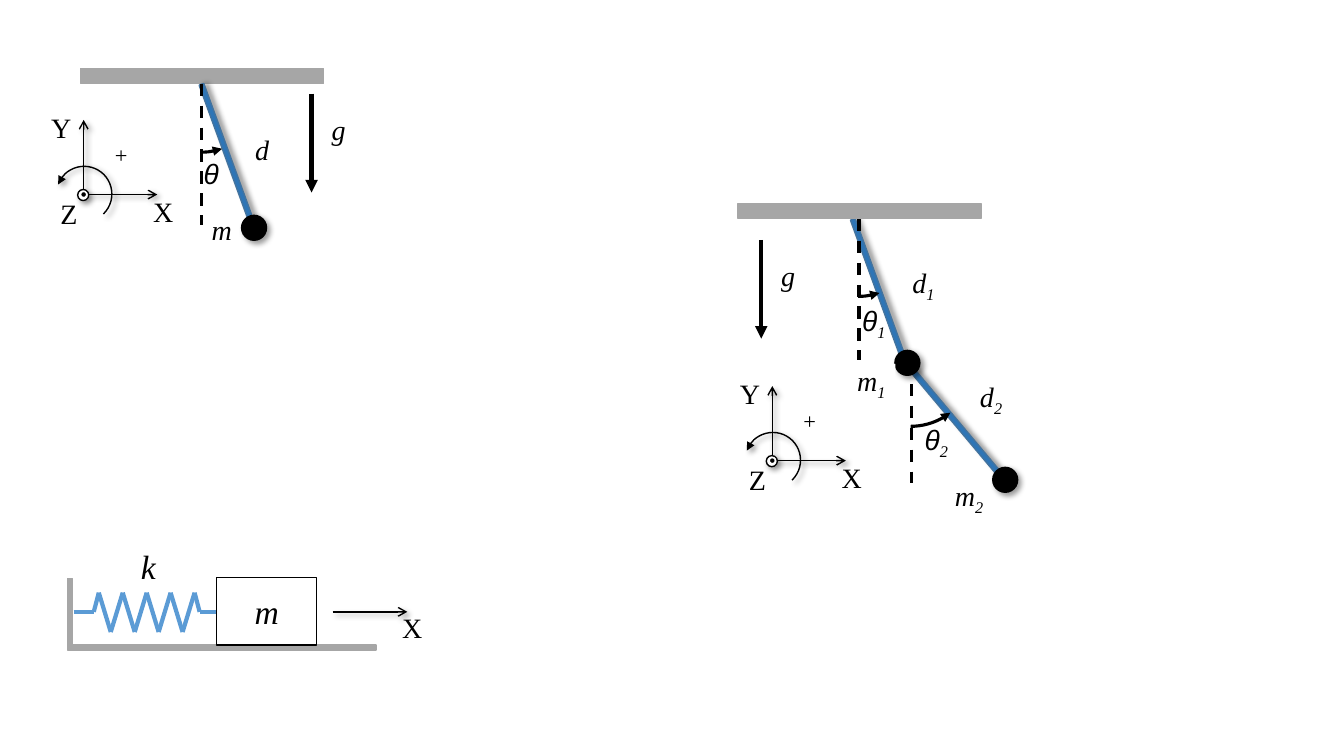
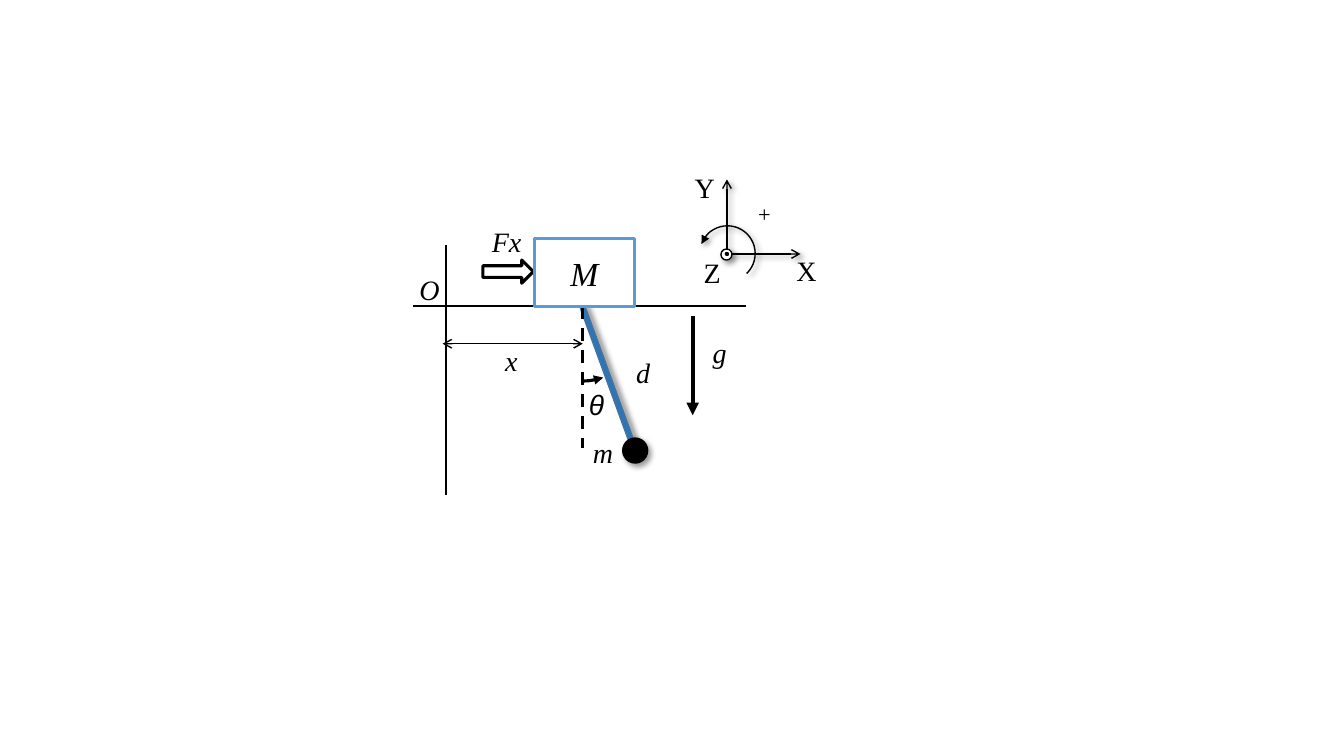
import itertools

import lxml.etree
import pptx
import pptx.dml.color
import pptx.enum.dml
import pptx.enum.shapes
import pptx.enum.text
import pptx.oxml.ns
import pptx.util

Inches = pptx.util.Inches
Pt = pptx.util.Pt
RGBColor = pptx.dml.color.RGBColor
Preset = pptx.enum.shapes.MSO_SHAPE
Anchor = pptx.enum.text.MSO_ANCHOR
Align = pptx.enum.text.PP_ALIGN
qn = pptx.oxml.ns.qn

BLACK = RGBColor(0x00, 0x00, 0x00)
WHITE = RGBColor(0xFF, 0xFF, 0xFF)
GRAY = RGBColor(0xA6, 0xA6, 0xA6)
BLUE = RGBColor(0x5B, 0x9B, 0xD5)
ROD_FILL = RGBColor(0x2E, 0x75, 0xB6)
ROD_LINE = RGBColor(0x43, 0x73, 0x9E)
SERIF = "Times New Roman"
SANS = "Arial"
DIAGONAL = 45
SIDEWAYS = 0


def apply_format(target, values):
    for name, value in values.items():
        setattr(target, name, value)


def add_element(parent, tag, **attributes):
    return lxml.etree.SubElement(parent, qn(tag), attributes)


class Diagram:
    def __init__(self, presentation):
        self.presentation = presentation

    def new_slide(self):
        self.slide = self.presentation.slides.add_slide(self.presentation.slide_layouts[6])
        self.shapes = self.slide.shapes

    def start_group(self):
        self.shapes = self.slide.shapes.add_group_shape().shapes

    def end_group(self):
        self.shapes = self.slide.shapes

    def finish(self, shape, color, width, head=None, tail=None, shadow=None):
        if color is None:
            shape.line.fill.background()
        else:
            shape.line.color.rgb = color
            shape.line.width = Pt(width)
        outline = shape.line._get_or_add_ln()
        for tag, arrow in (("a:headEnd", head), ("a:tailEnd", tail)):
            if arrow:
                add_element(outline, tag, type=arrow)
        effects = add_element(shape._element.spPr, "a:effectLst")
        if shadow is not None:
            outer = add_element(effects, "a:outerShdw", blurRad=str(Pt(4)), dist=str(Pt(3)),
                                dir=str(shadow * 60000), rotWithShape="0")
            tint = add_element(outer, "a:srgbClr", val=str(BLACK))
            add_element(tint, "a:alpha", val="40000")

    def shape(self, preset, left, top, width, height, fill=WHITE, color=None, line=1,
              rotation=0, angles=(), head=None, shadow=None):
        shape = self.shapes.add_shape(preset, Inches(left), Inches(top), Inches(width), Inches(height))
        shape.rotation = rotation
        for index, angle in enumerate(angles):
            shape.adjustments[index] = angle * 0.6
        if fill is None:
            shape.fill.background()
        else:
            shape.fill.solid()
            shape.fill.fore_color.rgb = fill
        self.finish(shape, color, line, head=head, shadow=shadow)
        return shape

    def line(self, start, end, color=BLACK, width=1, dashed=False, **ends):
        connector = self.shapes.add_connector(
            pptx.enum.shapes.MSO_CONNECTOR.STRAIGHT, *map(Inches, (*start, *end)))
        if dashed:
            connector.line.dash_style = pptx.enum.dml.MSO_LINE.DASH
        self.finish(connector, color, width, **ends)

    def add_words(self, paragraph, text, size, italic=True, font=SERIF, subscript=""):
        for content, name in ((text, font), (subscript, SERIF)):
            if content:
                run = paragraph.add_run()
                run.text = content
                apply_format(run.font, {"name": name, "size": Pt(size), "italic": italic})
                run.font.color.rgb = BLACK
        if subscript:
            run._r.get_or_add_rPr().set("baseline", "-25000")

    def label(self, text, left, top, width, height=0.34, bottom=0, anchor=Anchor.TOP,
              align=Align.LEFT, font=SERIF, subscript=""):
        frame = self.shape(Preset.RECTANGLE, left, top, width, height).text_frame
        apply_format(frame, {
            "margin_left": 0, "margin_top": 0, "margin_right": 0, "margin_bottom": Inches(bottom),
            "vertical_anchor": anchor, "word_wrap": True,
            "auto_size": pptx.enum.text.MSO_AUTO_SIZE.SHAPE_TO_FIT_TEXT})
        paragraph = frame.paragraphs[0]
        paragraph.alignment = align
        self.add_words(paragraph, text, 20, font=font, subscript=subscript)

    def text(self, text, left, top, width, height=0.44, size=20, italic=False):
        box = self.shapes.add_textbox(Inches(left), Inches(top), Inches(width), Inches(height))
        apply_format(box.text_frame, {
            "word_wrap": False, "auto_size": pptx.enum.text.MSO_AUTO_SIZE.SHAPE_TO_FIT_TEXT})
        self.add_words(box.text_frame.paragraphs[0], text, size, italic)

    def block(self, text, left, top, color, line):
        shape = self.shape(Preset.RECTANGLE, left, top, 0.99, 0.67, color=color, line=line)
        shape.text_frame.vertical_anchor = Anchor.MIDDLE
        paragraph = shape.text_frame.paragraphs[0]
        paragraph.alignment = Align.CENTER
        self.add_words(paragraph, text, 24)

    def bar(self, left, top, width, height):
        self.shape(Preset.RECTANGLE, left, top, width, height, fill=GRAY, color=GRAY)

    def bob(self, left, top):
        self.shape(Preset.OVAL, left, top, 0.24, 0.24, fill=BLACK, color=BLACK, line=1.5,
                   shadow=DIAGONAL)

    def length_label(self, left, top, subscript=""):
        self.label("d", left, top, 0.45, 0.44, bottom=0.1, anchor=Anchor.MIDDLE, subscript=subscript)

    def angle_label(self, left, top, width=0.34, subscript=""):
        self.label("θ", left, top, width, font=SANS, subscript=subscript)

    def pendulum(self, pivot, drop, rod, tilt, arc, arc_size, arc_start):
        x, y = pivot
        self.shape(Preset.ROUNDED_RECTANGLE, *rod, 0.05, 1.5, fill=ROD_FILL, color=ROD_LINE,
                   rotation=tilt, shadow=SIDEWAYS)
        self.line(pivot, (x, y + drop), width=2.25, dashed=True)
        self.shape(Preset.ARC, *arc, arc_size, arc_size, fill=None, color=BLACK, line=2.25,
                   angles=(arc_start, 89.78), head="triangle")

    def upper_pendulum(self, x, y, rod_shift, arc_top):
        self.pendulum((x, y), 1.4, (x + rod_shift, y - 0.04), 340, (x - 0.71, arc_top), 1.4, 72.23)

    def single_pendulum(self, x, y, theta, arc_top):
        self.label("m", x + 0.1, y + 1.28, 0.42)
        self.angle_label(*theta)
        self.length_label(x + 0.53, y + 0.48)
        self.upper_pendulum(x, y, 0.23, arc_top)
        self.bob(x + 0.4, y + 1.31)
        self.gravity(x + 1.09, y + 0.1)

    def gravity(self, x, y):
        self.line((x, y), (x, y + 0.98), width=3, tail="triangle")
        self.text("g", x + 0.1, y + 0.14, 0.34, italic=True)

    def axes(self, x, y):
        self.start_group()
        for end in ((x + 0.73, y), (x, y - 0.74)):
            self.line((x, y), end, tail="arrow", shadow=DIAGONAL)
        self.shape(Preset.OVAL, x - 0.06, y - 0.05, 0.11, 0.11, color=BLACK, shadow=DIAGONAL)
        self.shape(Preset.OVAL, x - 0.03, y - 0.03, 0.06, 0.06, fill=BLACK, color=WHITE)
        self.text("Y", x - 0.42, y - 0.88, 0.31)
        self.text("X", x + 0.59, y - 0.05, 0.41)
        self.text("Z", x - 0.33, y - 0.03, 0.37)
        self.shape(Preset.ARC, x - 0.27, y - 0.28, 0.55, 0.55, fill=None, color=BLACK,
                   angles=(200.1, 46.18), head="triangle", shadow=DIAGONAL)
        self.text("+", x + 0.21, y - 0.58, 0.33, 0.37, size=16)
        self.end_group()

    def spring(self, left, right, middle, turns):
        first, last = left + 0.25, right - 0.22
        step = (last - first) / turns
        peaks = [(first + step * index, middle + (0.2 if index % 2 else -0.19))
                 for index in range(turns + 1)]
        points = [(left, middle), (first - 0.05, middle), *peaks,
                  (last + 0.05, middle), (right, middle)]
        self.start_group()
        for start, end in itertools.pairwise(points):
            self.line(start, end, color=BLUE, width=3)
        self.end_group()


presentation = pptx.Presentation()
presentation.slide_width = Inches(13.33)
presentation.slide_height = Inches(7.5)
diagram = Diagram(presentation)

diagram.new_slide()
diagram.label("m", 9.47, 4.75, 0.38, subscript="2")
diagram.label("d", 9.6, 3.8, 0.46, 0.44, bottom=0.1, anchor=Anchor.BOTTOM, align=Align.CENTER,
              subscript="2")
diagram.angle_label(9.17, 4.19, 0.4, subscript="2")
diagram.angle_label(8.55, 3.01, subscript="1")
diagram.length_label(9.05, 2.65, subscript="1")
diagram.upper_pendulum(8.52, 2.17, 0.17, 1.54)
diagram.axes(7.66, 4.57)
diagram.pendulum((9.04, 3.59), 1.2, (9.44, 3.42), 320, (8.38, 2.93), 1.3, 52.34)
diagram.gravity(7.55, 2.38)
diagram.bar(7.32, 2.02, 2.41, 0.15)
diagram.bob(8.88, 3.48)
diagram.bob(9.85, 4.64)
diagram.label("m", 8.5, 3.61, 0.38, subscript="1")

diagram.bar(0.8, 0.68, 2.41, 0.15)
diagram.single_pendulum(2, 0.83, (2.02, 1.55), 0.11)
diagram.axes(0.83, 1.93)

diagram.bar(0.67, 6.4, 3.06, 0.05)
diagram.bar(0.67, 5.74, 0.05, 0.67)
diagram.spring(0.73, 2.15, 6.07, 8)
diagram.block("m", 2.15, 5.73, BLACK, 1)
diagram.text("k", 1.3, 5.37, 0.35, 0.5, size=24, italic=True)
diagram.line((3.3, 6.07), (4.04, 6.07), tail="arrow", shadow=DIAGONAL)
diagram.text("X", 3.89, 6.01, 0.41)

diagram.new_slide()
diagram.label("x", 5.01, 3.41, 0.22)
diagram.single_pendulum(5.78, 3.04, (5.84, 3.84), 2.38)
diagram.axes(7.21, 2.52)
diagram.line((4.39, 3.41), (5.78, 3.41), head="arrow", tail="arrow")
diagram.line((4.42, 2.43), (4.42, 4.91), width=1.5)
diagram.label("O", 4.16, 2.7, 0.22)
diagram.line((4.1, 3.04), (7.4, 3.04), width=1.5)
diagram.shape(Preset.RIGHT_ARROW, 4.79, 2.58, 0.5, 0.23, color=BLACK, line=2.25)
diagram.text("Fx", 4.78, 2.18, 0.5, italic=True)
diagram.block("M", 5.3, 2.37, BLUE, 2.25)

presentation.save("out.pptx")
